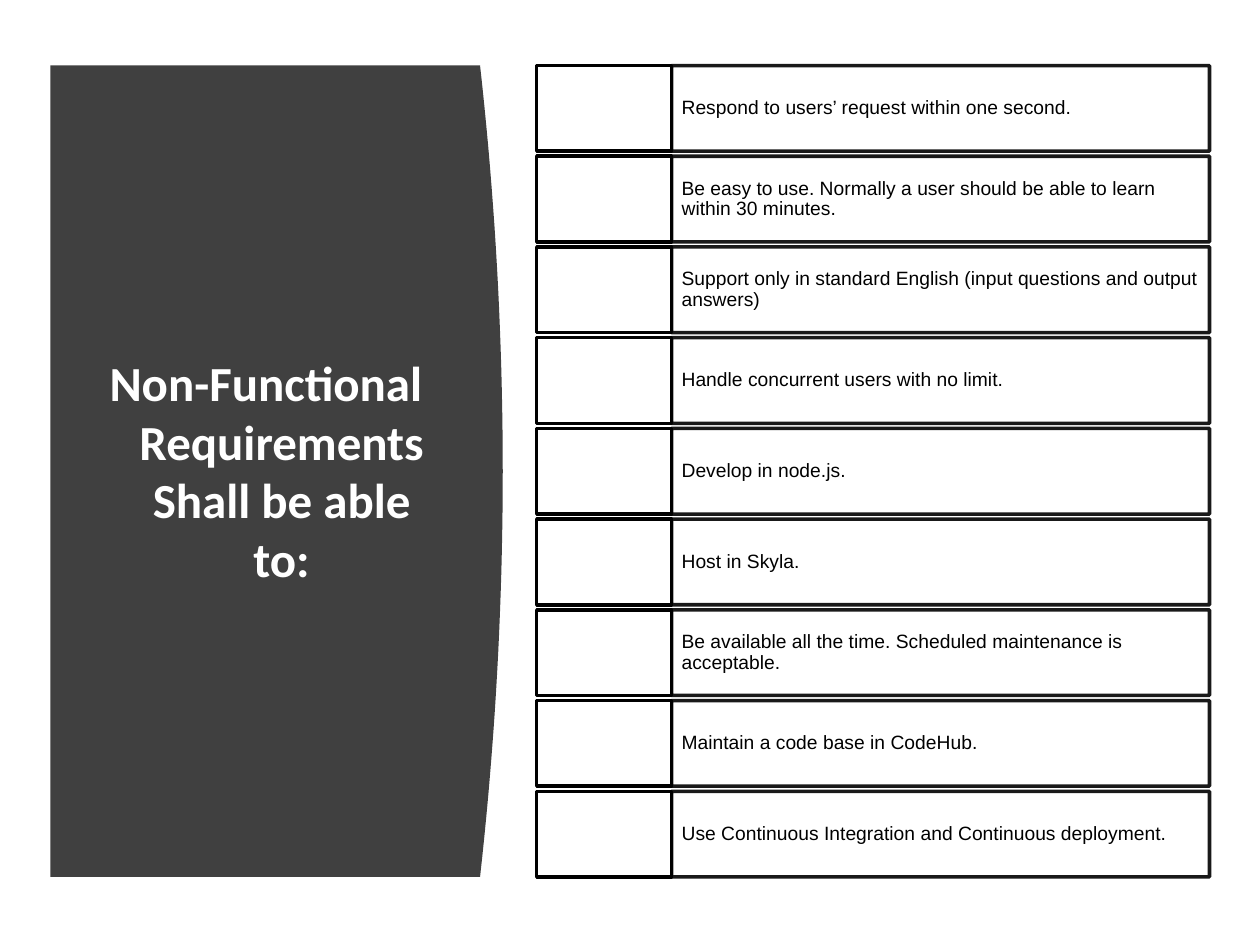
from lxml import etree
from pptx import Presentation
from pptx import util as u
from pptx.dml.color import RGBColor
from pptx.enum import shapes, text
from pptx.oxml.ns import qn

REQUIREMENTS = [
    "Respond to users’ request within one second.",
    "Be easy to use. Normally a user should be able to learn within 30 minutes.",
    "Support only in standard English (input questions and output answers)",
    "Handle concurrent users with no limit.",
    "Develop in node.js.",
    "Host in Skyla.",
    "Be available all the time. Scheduled maintenance is acceptable.",
    "Maintain a code base in CodeHub.",
    "Use Continuous Integration and Continuous deployment.",
]
COLUMNS, ROWS = 100, 75
TOP, BOTTOM = 5.2, 69.6
ROW_HEIGHT = 6.8
ROW_PITCH = (BOTTOM - TOP - ROW_HEIGHT) / (len(REQUIREMENTS) - 1)


def color(code):
    return RGBColor.from_string(code)


class Board:
    dark, light, ink = "404040", "FFFFFF", "000000"
    title_font, body_font = "Calibri", "Arial"

    def __init__(self, deck):
        self.column = deck.slide_width / COLUMNS
        self.row = deck.slide_height / ROWS
        self.slide = deck.slides.add_slide(deck.slide_layouts[5])

    def place(self, left, top, width, height):
        return (int(left * self.column), int(top * self.row),
                int(width * self.column), int(height * self.row))

    def panel(self, left, edge, bulge, steps=40):
        middle, half = (TOP + BOTTOM) / 2, (BOTTOM - TOP) / 2
        curve = []
        for step in range(steps + 1):
            offset = 2 * step / steps - 1
            curve.append(((edge + bulge * (1 - offset ** 2)) * self.column,
                          (middle + half * offset) * self.row))
        outline = self.slide.shapes.build_freeform(int(left * self.column), int(TOP * self.row))
        outline.add_line_segments(curve + [(left * self.column, BOTTOM * self.row)])
        panel = outline.convert_to_shape()
        panel.shadow.inherit = False
        panel.fill.solid()
        panel.fill.fore_color.rgb = color(self.dark)
        panel.line.fill.background()
        self.slide.shapes.title.element.addprevious(panel.element)

    def title(self, words, *area):
        title = self.slide.shapes.title
        title.left, title.top, title.width, title.height = self.place(*area)
        frame = title.text_frame
        frame.text = words
        frame.word_wrap = True
        frame.auto_size = text.MSO_AUTO_SIZE.NONE
        frame.vertical_anchor = text.MSO_ANCHOR.MIDDLE
        para = frame.paragraphs[0]
        para.alignment = text.PP_ALIGN.CENTER
        para.space_before = u.Pt(18)
        self.style(para, self.title_font, 28, self.light, True)
        properties = para.font._element.getparent() if hasattr(para.font, "_element") else None
        properties = frame._txBody.find(qn("a:p")).find(qn("a:pPr"))
        properties.set("marL", str(u.Inches(0.25)))
        properties.set("indent", str(-u.Inches(0.25)))

    def style(self, para, name, size, code, bold=False):
        para.font.name = name
        para.font.size = u.Pt(size)
        para.font.bold = bold
        para.font.color.rgb = color(code)

    def box(self, *area, opacity=100):
        box = self.slide.shapes.add_shape(shapes.MSO_SHAPE.RECTANGLE, *self.place(*area))
        box.shadow.inherit = False
        box.fill.solid()
        box.fill.fore_color.rgb = color(self.light)
        box.line.color.rgb = color(self.ink)
        box.line.width = u.Pt(2)
        if opacity < 100:
            properties = box.element.find(qn("p:spPr"))
            for shade in properties.iter(qn("a:srgbClr")):
                etree.SubElement(shade, qn("a:alpha")).set("val", str(opacity * 1000))
        return box

    def requirement(self, words, top):
        box = self.box(53.3, top, 42.7, ROW_HEIGHT, opacity=90)
        frame = box.text_frame
        frame.word_wrap = True
        frame.vertical_anchor = text.MSO_ANCHOR.MIDDLE
        frame.margin_left = frame.margin_right = u.Inches(0.08)
        frame.margin_top = frame.margin_bottom = u.Inches(0.17)
        frame.text = words
        para = frame.paragraphs[0]
        para.alignment = text.PP_ALIGN.LEFT
        para.line_spacing = 0.9
        self.style(para, self.body_font, 11, self.ink)
        self.box(42.6, top, 10.7, ROW_HEIGHT)


def main():
    deck = Presentation()
    deck.slide_width, deck.slide_height = u.Inches(10), u.Inches(7.5)
    board = Board(deck)
    board.panel(4, 38.1, 1.8)
    board.title("Non-Functional Requirements\vShall be able to:", 7.1, 11.1, 28, 52.4)
    for index, words in enumerate(REQUIREMENTS):
        board.requirement(words, TOP + index * ROW_PITCH)
    deck.save("out.pptx")


if __name__ == "__main__":
    main()
